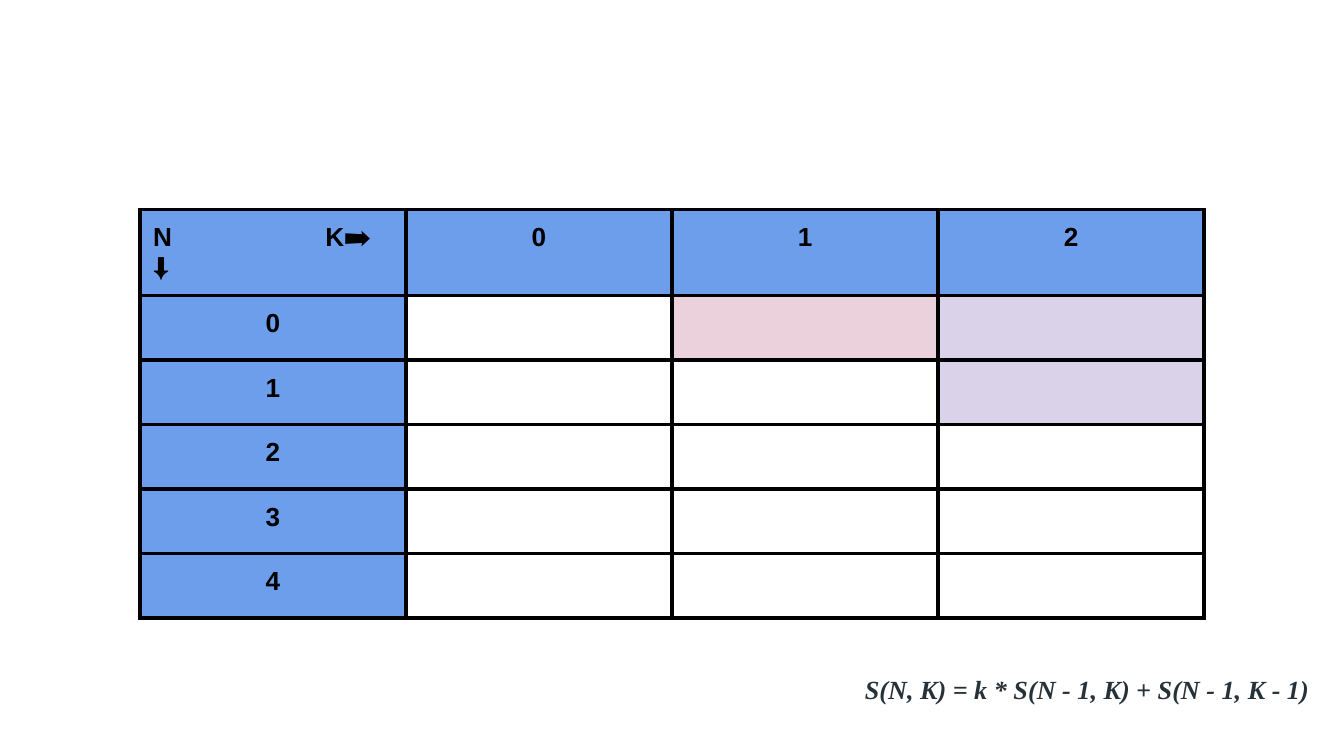
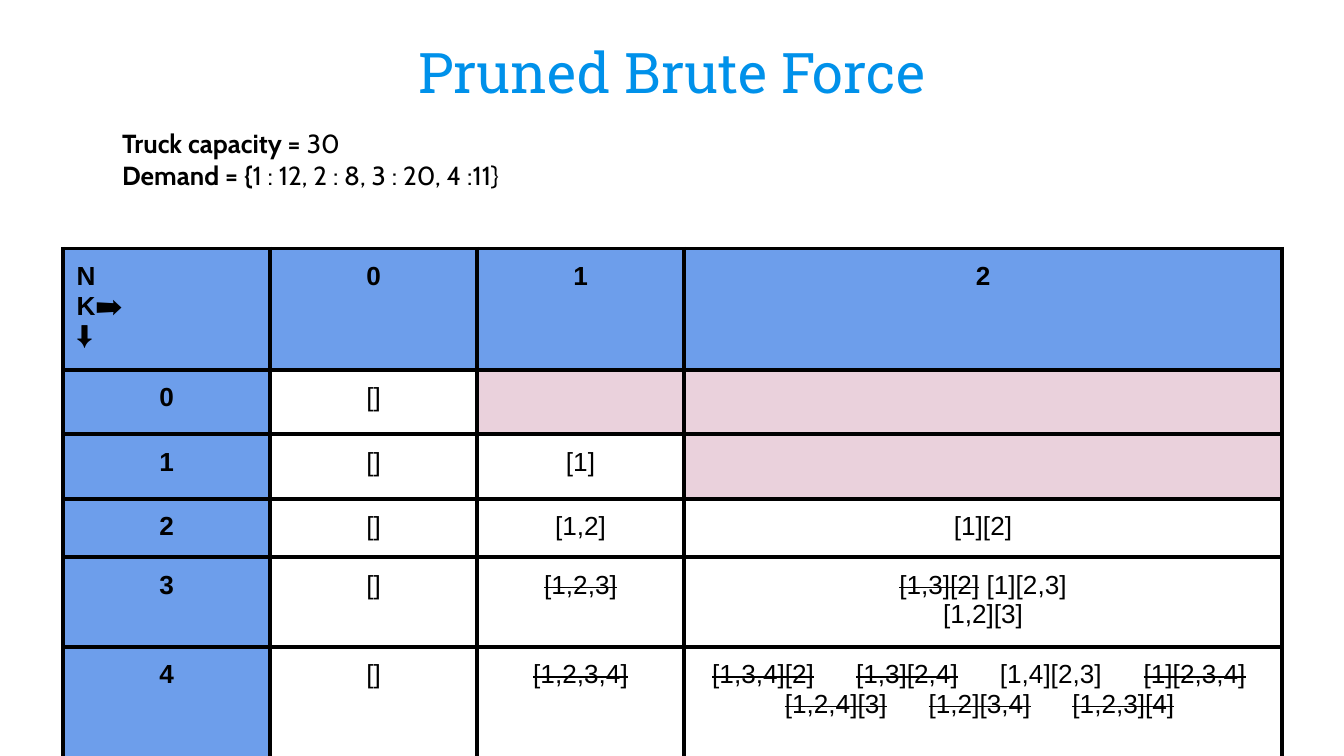
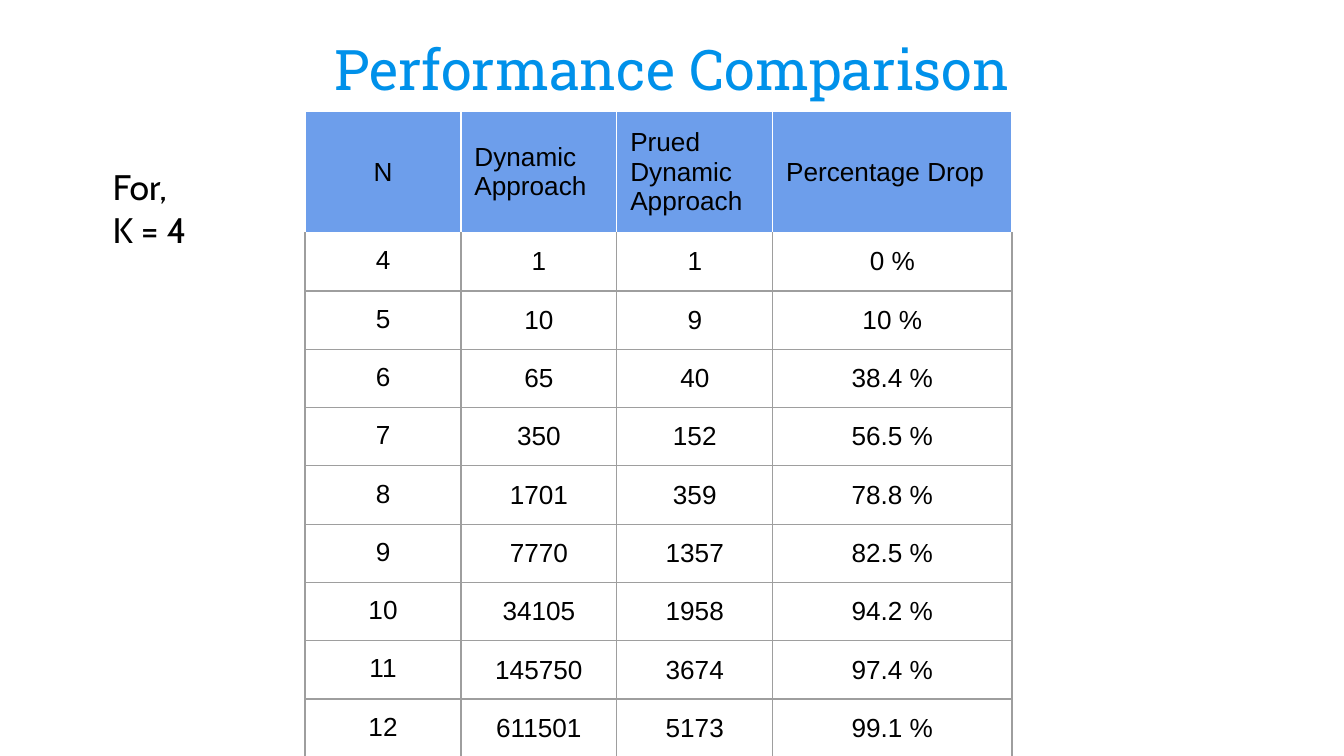
from lxml import etree
from pptx import Presentation
from pptx.dml.color import RGBColor
from pptx.enum.text import MSO_ANCHOR, PP_ALIGN
from pptx.oxml.ns import qn
from pptx.util import Inches, Pt

LEFT, CENTER = PP_ALIGN.LEFT, PP_ALIGN.CENTER
TOP, MIDDLE, BOTTOM = MSO_ANCHOR.TOP, MSO_ANCHOR.MIDDLE, MSO_ANCHOR.BOTTOM

# Shared look
THEME = {
    "header": "6D9EEB", "impossible": "EAD1DC", "unreachable": "D9D2E9",
    "black": "000000", "white": "FFFFFF", "grid": "9E9E9E",
    "title": {"name": "Roboto Slab", "size": Pt(30), "color": "0091EA"},
    "cell": {"name": "Arial", "size": Pt(14), "color": "000000"},
    "formula": {"name": "Times New Roman", "size": Pt(14), "color": "263238",
                "bold": True, "italic": True},
    "note": {"name": "Cabin", "size": Pt(14), "color": "000000"},
    "side_note": {"name": "Cabin", "size": Pt(19), "color": "000000"},
}
BOLD = {"bold": True}
STRIKE = {"strike": True}


def fill_text(frame, paragraphs, style, align=LEFT, tabs=()):
    """Write paragraphs, each a string or a list of (text, overrides) runs."""
    for number, runs in enumerate(paragraphs):
        paragraph = frame.paragraphs[0] if number == 0 else frame.add_paragraph()
        paragraph.alignment = align
        if tabs:
            stops = etree.SubElement(paragraph._p.get_or_add_pPr(), qn("a:tabLst"))
            for position in tabs[number]:
                etree.SubElement(stops, qn("a:tab"), pos=str(Inches(position)), algn="l")
        for text, overrides in [(runs, {})] if isinstance(runs, str) else runs:
            run = paragraph.add_run()
            run.text = text
            for key, value in {**style, **overrides}.items():
                if key == "color":
                    run.font.color.rgb = RGBColor.from_string(value)
                elif key == "strike":
                    run._r.get_or_add_rPr().set("strike", "sngStrike")
                else:
                    setattr(run.font, key, value)


def add_grid(slide, left, top, widths, heights, border, weight):
    """Add a table with plain cells and one border on every side."""
    holder = slide.shapes.add_table(
        len(heights), len(widths), Inches(left), Inches(top),
        Inches(sum(widths)), Inches(sum(heights)))
    table = holder.table
    table.first_row = table.horz_banding = False
    for column, width in zip(table.columns, widths):
        column.width = Inches(width)
    for r, height in enumerate(heights):
        table.rows[r].height = Inches(height)
        for c in range(len(widths)):
            cell = table.cell(r, c)
            for side in ("left", "right", "top", "bottom"):
                setattr(cell, f"margin_{side}", Inches(0.1))
            cell.fill.background()
            end = etree.SubElement(cell.text_frame.paragraphs[0]._p, qn("a:endParaRPr"))
            end.set("sz", str(THEME["cell"]["size"].centipoints))
            # White edges belong to a light-bordered header row
            light = border == THEME["grid"]
            for index, edge in enumerate(("lnL", "lnR", "lnT", "lnB")):
                white = light and (r == 0 or (r == 1 and edge == "lnT"))
                line = etree.Element(qn(f"a:{edge}"), w=str(Pt(weight)))
                paint = etree.SubElement(line, qn("a:solidFill"))
                etree.SubElement(paint, qn("a:srgbClr"),
                                 val=THEME["white"] if white else border)
                cell._tc.get_or_add_tcPr().insert(index, line)
            if r == 0 or (c == 0 and not light):
                cell.fill.solid()
                cell.fill.fore_color.rgb = RGBColor.from_string(THEME["header"])
    # A frame shorter than its rows keeps the row heights unstretched
    holder.height = Inches(3.28)
    return table


prs = Presentation()
prs.slide_width = Inches(10)
prs.slide_height = prs.slide_width * 9 // 16
recurrence, pruned, performance = [
    prs.slides.add_slide(prs.slide_layouts[6]) for _ in range(3)]

# N by K tables: the recurrence and the pruned search
recurrence_table = add_grid(recurrence, 1.04, 1.56, [1.98] * 4,
                            [0.64] + [0.48] * 5, THEME["black"], 2.25)
pruned_table = add_grid(pruned, 0.47, 1.85, [1.54, 1.54, 1.54, 4.45],
                        [0.86, 0.48, 0.48, 0.42, 0.64, 0.83], THEME["black"], 2.25)
heading = {**THEME["cell"], **BOLD}
fill_text(recurrence_table.cell(0, 0).text_frame, ["N\tK➡️", "⬇️"], heading,
          tabs=[[1.28], []])
fill_text(pruned_table.cell(0, 0).text_frame, ["N", "K➡️", "⬇️"], heading)
for table in (recurrence_table, pruned_table):
    for k in range(3):
        fill_text(table.cell(0, k + 1).text_frame, [str(k)], heading, CENTER)
    for n in range(5):
        fill_text(table.cell(n + 1, 0).text_frame, [str(n)], heading, CENTER)

# Cells where there are fewer items than groups
for table, late_color in ((recurrence_table, "unreachable"), (pruned_table, "impossible")):
    for row, column, color in ((1, 2, "impossible"), (1, 3, late_color), (2, 3, late_color)):
        fill = table.cell(row, column).fill
        fill.solid()
        fill.fore_color.rgb = RGBColor.from_string(THEME[color])

# Partitions, with those over capacity struck out
partitions = {
    (2, 2): ["[1]"],
    (3, 2): ["[1,2]"],
    (3, 3): ["[1][2]"],
    (4, 2): [[("[1,2,3]", STRIKE)]],
    (4, 3): [[("[1,3][2]", STRIKE), (" [1][2,3]", {})], "[1,2][3]"],
    (5, 2): [[("[1,2,3,4]", STRIKE)]],
}
partitions.update({(row, 1): ["[]"] for row in range(1, 6)})
for position, paragraphs in partitions.items():
    fill_text(pruned_table.cell(*position).text_frame, paragraphs, THEME["cell"], CENTER)

four_item_splits = [
    [("[1,3,4][2]", STRIKE), ("[1,3][2,4]", STRIKE), ("[1,4][2,3]", {}),
     ("[1][2,3,4]", STRIKE)],
    [("[1,2,4][3]", STRIKE), ("[1,2][3,4]", STRIKE), ("[1,2,3][4]", STRIKE)],
]
tabbed_splits = [[run for split in line for run in (("\t", {}), split)]
                 for line in four_item_splits]
split_stops = [[start + 1.07 * i for i in range(len(line))]
               for start, line in zip((0.11, 0.65), four_item_splits)]
fill_text(pruned_table.cell(5, 3).text_frame, tabbed_splits, THEME["cell"],
          tabs=split_stops)

# Performance table
results = [
    ("N", "Dynamic Approach", "Prued Dynamic Approach", "Percentage Drop"),
    ("4", "1", "1", "0 %"),
    ("5", "10", "9", "10 %"),
    ("6", "65", "40", "38.4 %"),
    ("7", "350", "152", "56.5 %"),
    ("8", "1701", "359", "78.8 %"),
    ("9", "7770", "1357", "82.5 %"),
    ("10", "34105", "1958", "94.2 %"),
    ("11", "145750", "3674", "97.4 %"),
    ("12", "611501", "5173", "99.1 %"),
]
results_table = add_grid(performance, 2.27, 0.83, [1.16, 1.16, 1.16, 1.78],
                         [0.89] + [0.43] * 9, THEME["grid"], 0.75)
for r, result in enumerate(results):
    for c, value in enumerate(result):
        cell = results_table.cell(r, c)
        cell.vertical_anchor = TOP if r and c == 0 else MIDDLE
        fill_text(cell.text_frame, [value], THEME["cell"],
                  LEFT if r == 0 and c else CENTER)

# Titles, formula and notes: slide, box, style, alignment, anchor, inset, text
texts = [
    (recurrence, (6.18, 4.91, 3.82, 0.71), "formula", CENTER, TOP, 0.1,
     ["S(N, K) = k * S(N - 1, K) + S(N - 1, K - 1)"]),
    (pruned, (0.86, 0.08, 8.28, 0.77), "title", CENTER, BOTTOM, 0.07,
     ["Pruned Brute Force"]),
    (pruned, (0.81, 0.85, 9.07, 0.94), "note", LEFT, TOP, 0.1,
     [[("Truck capacity =", BOLD), (" 30", {})],
      [("Demand = {", BOLD), ("1 : 12, 2 : 8, 3 : 20, 4 :11}", {})]]),
    (performance, (0.86, 0.06, 8.28, 0.77), "title", CENTER, BOTTOM, 0.07,
     ["Performance Comparison"]),
    (performance, (0.74, 1.13, 1.14, 0.77), "side_note", LEFT, TOP, 0.1,
     ["For,", "K = 4"]),
]
for slide, box, style, align, anchor, inset, paragraphs in texts:
    frame = slide.shapes.add_textbox(*map(Inches, box)).text_frame
    frame.word_wrap = True
    frame.vertical_anchor = anchor
    for side in ("left", "right", "top", "bottom"):
        setattr(frame, f"margin_{side}", Inches(inset))
    fill_text(frame, paragraphs, THEME[style], align)
    if style == "formula":
        frame.paragraphs[0].space_before = Pt(5)

prs.save("out.pptx")
